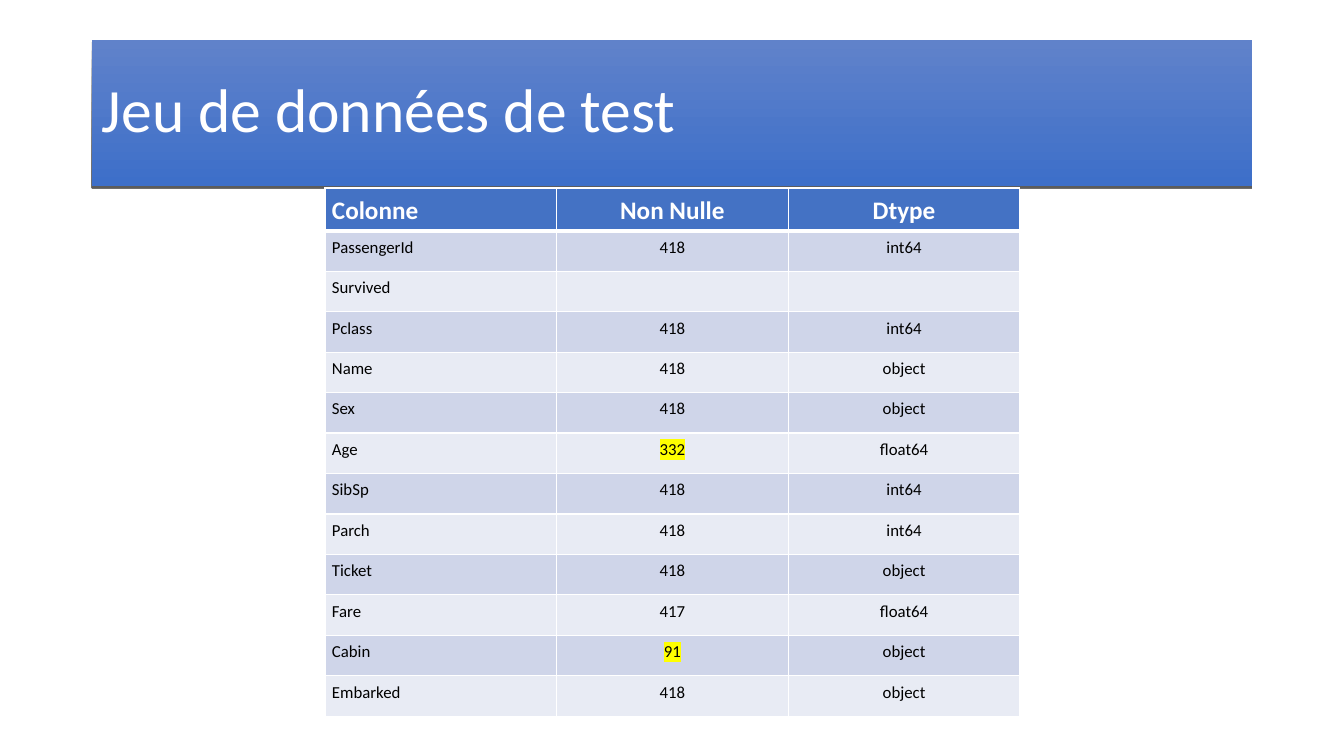
import pptx
import pptx.util
import pptx.dml.color
import pptx.enum.shapes
import pptx.enum.text
import pptx.oxml
import pptx.oxml.ns

RGB = pptx.dml.color.RGBColor
Pt = pptx.util.Pt
ALIGN = pptx.enum.text.PP_ALIGN
NS = pptx.oxml.ns.nsdecls("a")

# Content
TITLE = "Jeu de données de test"
HEADER = ("Colonne", "Non Nulle", "Dtype")
ROWS = [
    ("PassengerId", "418", "int64"),
    ("Survived", "", ""),
    ("Pclass", "418", "int64"),
    ("Name", "418", "object"),
    ("Sex", "418", "object"),
    ("Age", "332", "float64"),
    ("SibSp", "418", "int64"),
    ("Parch", "418", "int64"),
    ("Ticket", "418", "object"),
    ("Fare", "417", "float64"),
    ("Cabin", "91", "object"),
    ("Embarked", "418", "object"),
]
HIGHLIGHTED = {"332", "91"}

# Style
FONT = "Calibri"
WHITE = RGB(0xFF, 0xFF, 0xFF)
BLACK = RGB(0, 0, 0)
YELLOW = RGB(0xFF, 0xFF, 0)
BANNER_TOP = RGB(0x60, 0x82, 0xCA)
BANNER_BOTTOM = RGB(0x3D, 0x6F, 0xC9)
HEADER_FILL = RGB(0x44, 0x72, 0xC4)
BAND_FILLS = (RGB(0xE8, 0xEB, 0xF4), RGB(0xCF, 0xD5, 0xE9))
THIN, THICK = 0.96, 3

# Layout in pixels
SLIDE = (1344, 756)
BANNER = (92, 40, 1160, 146)
TABLE = (325, 188, 695, 526)
CELL_INSETS = (7, 5, 7, 5)


def px(n):
    return pptx.util.Emu(round(n * 914400 / 100.8))


def add_text(p, text, size, color, spacing, bold=False, align=ALIGN.LEFT):
    p.alignment, p.line_spacing = align, spacing
    r = p.add_run()
    r.text = text
    r.font.name, r.font.size, r.font.bold = FONT, Pt(size), bold
    r.font.color.rgb = color
    return r


def highlight(r, color):
    fill = r.font._element.find(pptx.oxml.ns.qn("a:solidFill"))
    fill.addnext(pptx.oxml.parse_xml(
        f'<a:highlight {NS}><a:srgbClr val="{color}"/></a:highlight>'))


def add_border(cell, side, width):
    cell._tc.get_or_add_tcPr().append(pptx.oxml.parse_xml(
        f'<a:ln{side} {NS} w="{Pt(width)}"><a:solidFill>'
        f'<a:srgbClr val="{WHITE}"/></a:solidFill></a:ln{side}>'))


prs = pptx.Presentation()
prs.slide_width, prs.slide_height = map(px, SLIDE)
s = prs.slides.add_slide(prs.slide_layouts[6])

# Title banner with a hard shadow below
sp = s.shapes.add_shape(pptx.enum.shapes.MSO_SHAPE.RECTANGLE, *map(px, BANNER))
sp.line.fill.background()
sp.fill.gradient()
sp.fill.gradient_angle = 270
for stop, color, position in zip(sp.fill.gradient_stops,
                                 (BANNER_TOP, BANNER_BOTTOM), (0, 1)):
    stop.color.rgb, stop.position = color, position
sp.shadow.inherit = False
sp._element.spPr.find(pptx.oxml.ns.qn("a:effectLst")).append(pptx.oxml.parse_xml(
    f'<a:outerShdw {NS} blurRad="0" dist="{Pt(1.5)}" dir="5400000" algn="ctr" '
    f'rotWithShape="0"><a:srgbClr val="{BLACK}"><a:alpha val="63000"/>'
    '</a:srgbClr></a:outerShdw>'))
tf = sp.text_frame
tf.word_wrap = True
tf.vertical_anchor = pptx.enum.text.MSO_ANCHOR.MIDDLE
add_text(tf.paragraphs[0], TITLE, 44, WHITE, 0.9)

# Column table
lines = [HEADER] + ROWS
table = s.shapes.add_table(len(lines), len(HEADER), *map(px, TABLE)).table
table.horz_banding = False
for col in table.columns:
    col.width = px(TABLE[2] / len(HEADER))
for row in table.rows:
    row.height = px(TABLE[3] / len(lines))

for i, line in enumerate(lines):
    head = i == 0
    for j, text in enumerate(line):
        cell = table.cell(i, j)
        (cell.margin_left, cell.margin_top,
         cell.margin_right, cell.margin_bottom) = map(px, CELL_INSETS)
        for side, width in (("L", THIN), ("R", THIN),
                            ("T", THICK if i == 1 else THIN),
                            ("B", THICK if head else THIN)):
            add_border(cell, side, width)
        cell.fill.solid()
        cell.fill.fore_color.rgb = HEADER_FILL if head else BAND_FILLS[i % 2]
        r = add_text(cell.text_frame.paragraphs[0], text, 18 if head else 12,
                     WHITE if head else BLACK, 1.07, head,
                     ALIGN.CENTER if j else ALIGN.LEFT)
        if text in HIGHLIGHTED:
            highlight(r, YELLOW)

prs.save("out.pptx")
